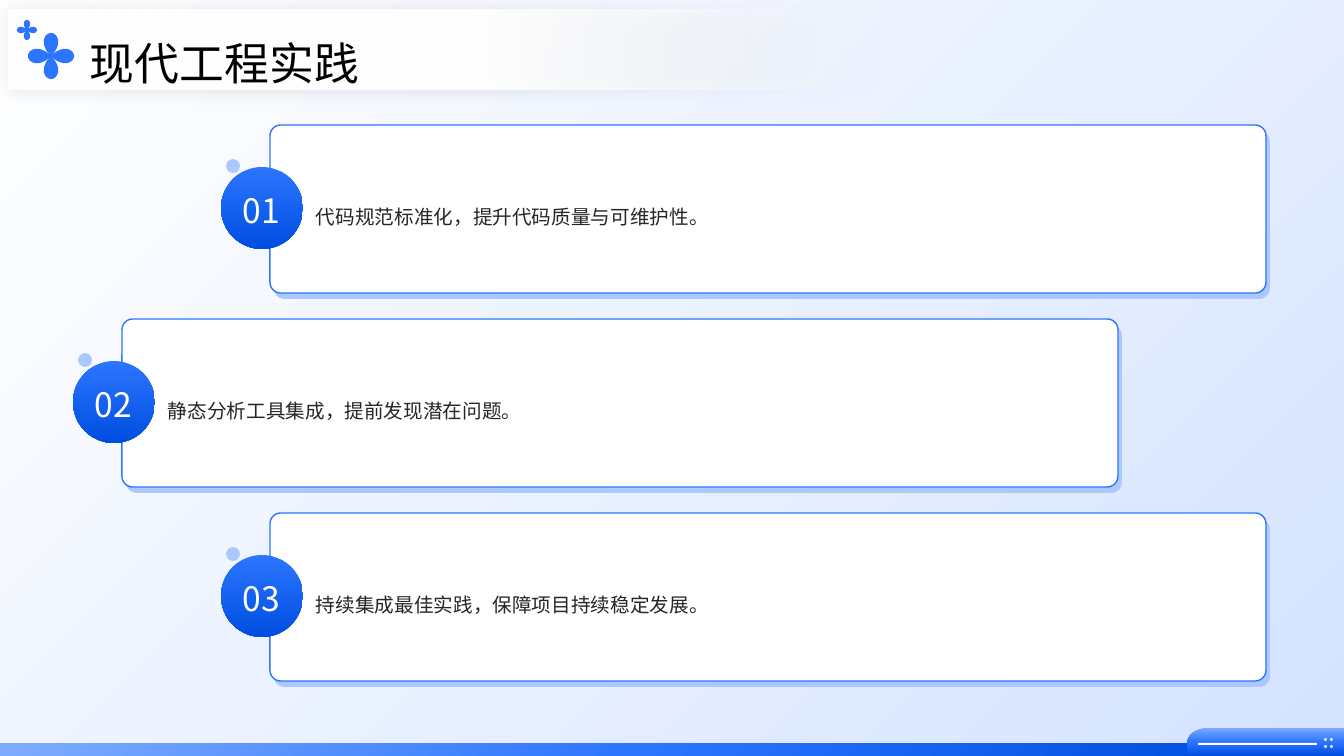
from math import cos, sin, pi, radians
from pptx import Presentation
from pptx.dml.color import RGBColor as RGB
from pptx.enum.shapes import MSO_SHAPE as Kind
from pptx.enum.text import MSO_ANCHOR as Anchor, PP_ALIGN as Align
from pptx.oxml import parse_xml
from pptx.oxml.ns import qn
from pptx.util import Pt

UNIT = 914400 / 100.8
NS = 'xmlns:a="http://schemas.openxmlformats.org/drawingml/2006/main"'
FONT = "Noto Sans CJK SC"
HUES = {
    "white": "FFFFFF", "black": "000000", "ink": "262626", "blue": "2C75FF",
    "deep": "004EE0", "sky": "ABC8FF", "pale": "D5E3FF", "light": "7EABFF",
}
ITEMS = [
    (270, "代码规范标准化，提升代码质量与可维护性。"),
    (122, "静态分析工具集成，提前发现潜在问题。"),
    (270, "持续集成最佳实践，保障项目持续稳定发展。"),
]


def px(n):
    return round(n * UNIT)


def hue(name):
    return RGB.from_string(HUES[name])


def tint(name, alpha):
    return f'<a:srgbClr {NS} val="{HUES[name]}"><a:alpha val="{alpha * 1000}"/></a:srgbClr>'


def paint(shape, fill, line=None):
    shape.shadow.inherit = False
    shape.fill.solid()
    shape.fill.fore_color.rgb = hue(fill)
    if line:
        shape.line.color.rgb = hue(line)
        shape.line.width = Pt(1)
    else:
        shape.line.fill.background()
    return shape


def fade(shape, stops, angle=None):
    """Gradient of (percent, colour, alpha) stops; without angle it spreads from the top left."""
    shape.fill.gradient()
    grad = shape._element.spPr.find(qn("a:gradFill"))
    for part in list(grad):
        grad.remove(part)
    marks = "".join(f'<a:gs pos="{pos * 1000}">{tint(name, alpha)}</a:gs>'
                    for pos, name, alpha in stops)
    grad.append(parse_xml(f"<a:gsLst {NS}>{marks}</a:gsLst>"))
    if angle is None:
        way = f'<a:path {NS} path="circle"><a:fillToRect r="100000" b="100000"/></a:path>'
    else:
        way = f'<a:lin {NS} ang="{angle * 60000}" scaled="0"/>'
    grad.append(parse_xml(way))


def glow(shape):
    """Soft dark blur around the shape."""
    shape._element.spPr.find(qn("a:effectLst")).append(parse_xml(
        f'<a:outerShdw {NS} blurRad="{Pt(13)}" dist="0" algn="ctr" rotWithShape="0">'
        f'{tint("black", 10)}</a:outerShdw>'))


def block(slide, kind, x, y, w, h, fill="white", line=None):
    shape = slide.shapes.add_shape(kind, px(x), px(y), px(w), px(h))
    return paint(shape, fill, line)


def outline(slide, points, fill):
    spots = [(px(x), px(y)) for x, y in points]
    pen = slide.shapes.build_freeform(*spots[0])
    pen.add_line_segments(spots[1:])
    return paint(pen.convert_to_shape(), fill)


def label(slide, text, x, y, w, h, size, color, align=Align.LEFT, anchor=Anchor.MIDDLE,
          space=1.5):
    frame = slide.shapes.add_textbox(px(x), px(y), px(w), px(h)).text_frame
    frame.margin_left = frame.margin_right = frame.margin_top = frame.margin_bottom = 0
    frame.word_wrap = True
    frame.vertical_anchor = anchor
    frame.text = text
    para = frame.paragraphs[0]
    para.alignment = align
    para.line_spacing = space
    run = para.runs[0]
    run.font.size = Pt(size)
    run.font.name = FONT
    run.font.color.rgb = hue(color)
    run._r.get_or_add_rPr().find(qn("a:latin")).addnext(
        parse_xml(f'<a:ea {NS} typeface="{FONT}"/>'))


def flower(slide, x, y, size):
    """Four petals around the point x, y."""
    points = []
    for step in range(0, 360, 3):
        turn = radians(step)
        reach = size * abs(cos(2 * turn)) ** 0.7
        points.append((x + reach * cos(turn), y + reach * sin(turn)))
    outline(slide, points, "blue")


def footer(slide):
    strip = block(slide, Kind.RECTANGLE, 0, 744, 1239, 12)
    fade(strip, [(1, "light", 100), (51, "blue", 100), (100, "deep", 100)])
    turns = [pi / 2 * i / 12 for i in range(13)]
    curve = [(1208 - 21 * cos(t), 744 - 16 * sin(t)) for t in turns]
    tab = outline(slide, curve + [(1344, 728), (1344, 756), (1187, 756)], "blue")
    fade(tab, [(0, "light", 100), (49, "blue", 100), (100, "deep", 100)], 90)
    block(slide, Kind.RECTANGLE, 1198, 743, 119, 2)
    for x in (1324, 1330):
        for y in (738, 745):
            block(slide, Kind.OVAL, x, y, 3, 3, "pale")


def panel(slide, x, y, fill, line=None):
    shape = block(slide, Kind.ROUNDED_RECTANGLE, x, y, 996, 168, fill, line)
    shape.adjustments[0] = 0.064


def card(slide, num, x, y, text):
    panel(slide, x + 4, y + 6, "sky")
    panel(slide, x, y, "white", "blue")
    label(slide, text, x + 46, y + 18, 931, 136, 14, "ink")
    badge = block(slide, Kind.OVAL, x - 49, y + 42, 82, 82)
    fade(badge, [(0, "blue", 100), (100, "deep", 100)], 90)
    label(slide, f"{num:02}", x - 33, y + 65, 49, 37, 24, "white",
          Align.CENTER, Anchor.TOP, 1.0)
    block(slide, Kind.OVAL, x - 44, y + 34, 14, 14, "sky")


def header(slide):
    bar = block(slide, Kind.RECTANGLE, 9, 10, 1164, 80)
    fade(bar, [(25, "white", 0), (60, "white", 100)], 180)
    glow(bar)
    label(slide, "现代工程实践", 90, 26, 858, 47, 32, "black")
    flower(slide, 51, 56, 23)
    flower(slide, 27, 30, 10)


def main():
    deck = Presentation()
    deck.slide_width, deck.slide_height = px(1344), px(756)
    slide = deck.slides.add_slide(deck.slide_layouts[6])
    back = block(slide, Kind.RECTANGLE, 0, 0, 1344, 756)
    fade(back, [(0, "white", 100), (100, "pale", 100)], 45)
    footer(slide)
    for i, (x, text) in enumerate(ITEMS):
        card(slide, i + 1, x, 125 + 194 * i, text)
    header(slide)
    deck.save("out.pptx")


if __name__ == "__main__":
    main()
